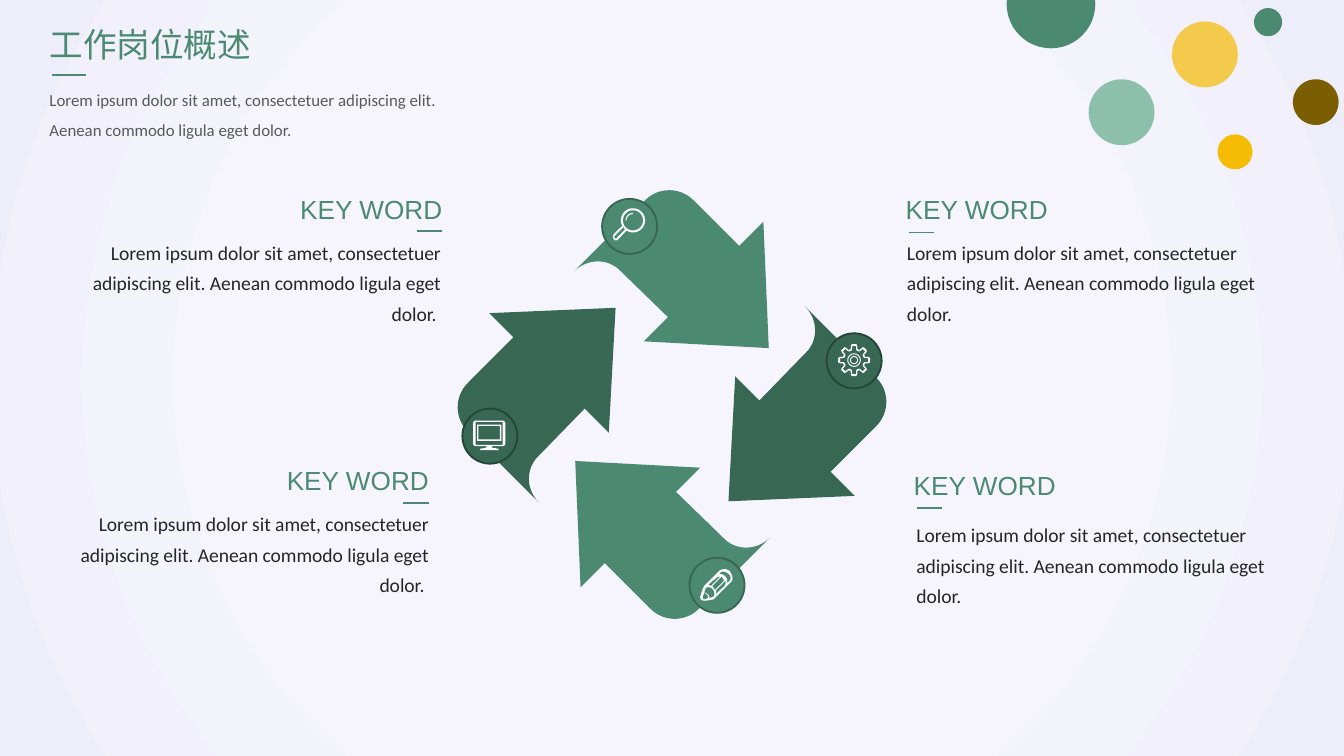
import math
from dataclasses import dataclass

from lxml import etree
from pptx import Presentation
from pptx import util as u
from pptx.dml.color import RGBColor
from pptx.enum import shapes, text
from pptx.oxml import ns


@dataclass(frozen=True)
class Theme:
    green: str = "4B8A70"
    dark: str = "386854"
    mint: str = "8CC0AB"
    gold: str = "F6BB03"
    brown: str = "7B5E01"
    green_edge: str = "376653"
    dark_edge: str = "254538"
    white: str = "FFFFFF"
    ink: str = "262626"
    grey: str = "595959"
    backdrop: tuple = ((0, "F7F8FD"), (53, "F6F5FD"), (100, "EEEEFA"))
    title: float = 18
    heading: float = 14
    body: float = 10.5
    intro: float = 9
    sans: str = "Calibri"
    heading_font: str = "Arial"
    cjk: str = "Noto Sans CJK SC"


T = Theme()
LOREM = "Lorem ipsum dolor sit amet, consectetuer adipiscing elit. Aenean commodo ligula eget dolor."
LEFT, RIGHT = text.PP_ALIGN.LEFT, text.PP_ALIGN.RIGHT


def add_xml(parent, tag, **attrs):
    return etree.SubElement(parent, ns.qn(tag), attrs)


def write(tf, content, size, font, color, align=LEFT, spacing=None):
    p = tf.paragraphs[0]
    p.alignment = align
    if spacing:
        p.line_spacing = spacing
    r = p.add_run()
    r.text = content
    r.font.size = u.Pt(size)
    r.font.color.rgb = RGBColor.from_string(color)
    r.font.name = font
    add_xml(r.font._element, "a:ea", typeface=font)


def trace(*steps, n=12):
    pts = [steps[0]]
    for step in steps[1:]:
        if len(step) == 2:
            pts.append(step)
            continue
        start, (a, b, c) = pts[-1], (step[:2], step[2:4], step[4:])
        for t in (i / n for i in range(1, n + 1)):
            v = 1 - t
            pts.append(tuple(v**3 * start[k] + 3 * v * v * t * a[k] + 3 * v * t * t * b[k] + t**3 * c[k]
                             for k in (0, 1)))
    return pts


def polar(cx, cy, r, deg):
    return cx + r * math.cos(math.radians(deg)), cy + r * math.sin(math.radians(deg))


def arc(cx, cy, r, start=0, end=360, n=36):
    return [polar(cx, cy, r, start + (end - start) * i / n) for i in range(n + 1)]


def rect(x1, y1, x2, y2):
    return [(x1, y1), (x2, y1), (x2, y2), (x1, y2)]


def gear(cx, cy, tooth):
    return [polar(cx, cy, r, 45 * i + deg) for i in range(8) for deg, r in tooth]


def turn(pts, quarters, cx=5, cy=3.01):
    for _ in range(quarters):
        pts = [(cx - (y - cy), cy + (x - cx)) for x, y in pts]
    return pts


class Deck:
    """Holds the theme and the current slide and draws each kind of element."""

    def __init__(self, theme):
        self.theme = theme
        self.prs = Presentation()
        self.prs.slide_width, self.prs.slide_height = u.Inches(10), u.Inches(10 * 9 / 16)
        self.s = self.prs.slides.add_slide(self.prs.slide_layouts[6])

    def background(self):
        fill = self.s.background.fill
        fill.gradient()
        grad = self.s._element.find(".//" + ns.qn("a:gradFill"))
        for child in list(grad):
            grad.remove(child)
        stops = add_xml(grad, "a:gsLst")
        for pos, color in self.theme.backdrop:
            add_xml(add_xml(stops, "a:gs", pos=str(pos * 1000)), "a:srgbClr", val=color)
        circle = add_xml(grad, "a:path", path="circle")
        add_xml(circle, "a:fillToRect", l="50000", t="50000", r="50000", b="50000")

    def paint(self, sp, fill, edge=None):
        sp.shadow.inherit = False
        sp.fill.solid()
        sp.fill.fore_color.rgb = RGBColor.from_string(fill)
        if edge:
            sp.line.color.rgb = RGBColor.from_string(edge)
            sp.line.width = u.Pt(1)
        else:
            sp.line.fill.background()

    def circle(self, x, y, d, fill, edge=None, alpha=None):
        sp = self.s.shapes.add_shape(shapes.MSO_SHAPE.OVAL, *map(u.Inches, (x, y, d, d)))
        self.paint(sp, fill, edge)
        if alpha:
            color = sp._element.spPr.find(ns.qn("a:solidFill"))[0]
            add_xml(color, "a:alpha", val=str(alpha * 1000))

    def outline(self, fill, *contours):
        scaled = [[(u.Inches(x), u.Inches(y)) for x, y in c] for c in contours]
        fb = self.s.shapes.build_freeform(*scaled[0][0])
        for i, pts in enumerate(scaled):
            if i:
                fb.move_to(*pts[0])
            fb.add_line_segments(pts[1:], close=True)
        self.paint(fb.convert_to_shape(), fill)

    def rule(self, x, y, length):
        line = self.s.shapes.add_connector(
            shapes.MSO_CONNECTOR.STRAIGHT, *map(u.Inches, (x, y, x + length, y)))
        line.line.color.rgb = RGBColor.from_string(self.theme.green)
        line.line.width = u.Pt(1)
        add_xml(line._element.spPr, "a:effectLst")

    def label(self, x, y, w, h, content, middle=False, **fmt):
        tf = self.s.shapes.add_textbox(*map(u.Inches, (x, y, w, h))).text_frame
        tf.word_wrap = True
        if middle:
            tf.vertical_anchor = text.MSO_ANCHOR.MIDDLE
        else:
            tf.auto_size = text.MSO_AUTO_SIZE.SHAPE_TO_FIT_TEXT
        write(tf, content, **fmt)

    def section(self, x, y, body_x, body_y, align):
        t, right = self.theme, align == RIGHT
        self.label(body_x, body_y, 2.81, 0.79, LOREM + (" " if right else ""),
                   size=t.body, font=t.sans, color=t.ink, align=align, spacing=1.3)
        self.label(x, y, 1.79, 0.34, "KEY WORD",
                   size=t.heading, font=t.heading_font, color=t.green, align=align)
        self.rule(x + (1.5 if right else 0.12), y + (0.33 if right else 0.34), 0.19)

    def icons(self):
        white = self.theme.white
        self.outline(white, rect(3.55, 3.16, 3.73, 3.28), rect(3.56, 3.17, 3.72, 3.27))
        self.outline(white, trace(
            (3.54, 3.13), (3.74, 3.13), (3.75, 3.13, 3.76, 3.14, 3.76, 3.15), (3.76, 3.3),
            (3.76, 3.31, 3.75, 3.32, 3.74, 3.32), (3.66, 3.32), (3.66, 3.33), (3.71, 3.34),
            (3.71, 3.35), (3.57, 3.35), (3.57, 3.34), (3.62, 3.33), (3.62, 3.32), (3.54, 3.32),
            (3.53, 3.32, 3.52, 3.31, 3.52, 3.3), (3.52, 3.15), (3.52, 3.14, 3.53, 3.13, 3.54, 3.13)),
            rect(3.54, 3.14, 3.74, 3.31))
        self.outline(
            white,
            trace((5.43, 4.25), (5.41, 4.23, 5.37, 4.23, 5.35, 4.25), (5.24, 4.36), (5.23, 4.38),
                  (5.21, 4.44), (5.21, 4.46, 5.22, 4.47, 5.25, 4.47), (5.31, 4.46), (5.32, 4.45),
                  (5.44, 4.33), (5.46, 4.31, 5.45, 4.28, 5.43, 4.25)),
            trace((5.43, 4.32), (5.41, 4.34), (5.42, 4.3, 5.39, 4.27, 5.35, 4.27), (5.36, 4.26),
                  (5.37, 4.25, 5.4, 4.25, 5.42, 4.27), (5.44, 4.28, 5.44, 4.31, 5.43, 4.32)),
            trace((5.28, 4.45), (5.28, 4.43, 5.26, 4.41, 5.24, 4.41), (5.25, 4.38),
                  (5.26, 4.36, 5.29, 4.37, 5.3, 4.38), (5.32, 4.4, 5.32, 4.43, 5.31, 4.44)),
            trace((5.24, 4.46), (5.23, 4.46, 5.23, 4.45, 5.23, 4.44), (5.24, 4.41),
                  (5.26, 4.42, 5.27, 4.43, 5.27, 4.45)),
            trace((5.29, 4.36), (5.27, 4.35), (5.33, 4.3), (5.34, 4.29, 5.35, 4.29, 5.36, 4.29)),
            [(5.32, 4.39), (5.3, 4.36), (5.37, 4.29), (5.39, 4.32)],
            trace((5.33, 4.42), (5.33, 4.39), (5.4, 4.32), (5.4, 4.34, 5.4, 4.35, 5.39, 4.36)))
        hub = (6.355, 2.68)
        self.outline(white,
                     gear(*hub, [(-17, 0.085), (-12, 0.11), (-8, 0.12), (8, 0.12), (12, 0.11), (17, 0.085)]),
                     gear(*hub, [(-16, 0.073), (-11, 0.08), (-8, 0.105), (8, 0.105), (11, 0.08), (16, 0.073)]))
        for r in (0.05, 0.03):
            self.outline(white, arc(*hub, r), arc(*hub, r - 0.007))
        lens = (4.71, 1.64)
        self.outline(
            white,
            arc(*lens, 0.09, 122, -207) + trace((4.57, 1.74), (4.55, 1.76, 4.57, 1.81, 4.6, 1.78)),
            arc(*lens, 0.075),
            trace((4.64, 1.69), (4.58, 1.75), (4.56, 1.76, 4.58, 1.79, 4.59, 1.77), (4.65, 1.71)))
        self.outline(white, arc(*lens, 0.055, 180, 270) + arc(*lens, 0.047, 270, 180))


def main():
    d = Deck(T)
    d.background()
    for x, y, size, fill, alpha in (
            (8.1, 0.59, 0.49, T.mint, None), (9.06, 1, 0.26, T.gold, None),
            (9.33, 0.06, 0.21, T.green, None), (8.72, 0.16, 0.49, T.gold, 70),
            (7.49, -0.3, 0.66, T.green, None), (9.62, 0.59, 0.34, T.brown, None)):
        d.circle(x, y, size, fill, alpha=alpha)
    d.label(0.27, 0.06, 2, 0.54, "工作岗位概述", middle=True, size=T.title, font=T.cjk, color=T.green)
    d.label(0.27, 0.54, 3.3, 0.56, LOREM, size=T.intro, font=T.sans, color=T.grey, spacing=1.5)
    d.rule(0.39, 0.56, 0.25)
    arrow = trace((4.79, 2.54), (4.97, 2.36), (4.62, 2.02), (4.53, 1.92, 4.37, 1.92, 4.27, 2.02),
                  (4.8, 1.49), (4.9, 1.39, 5.06, 1.39, 5.16, 1.49), (5.5, 1.83), (5.68, 1.65), (5.72, 2.59))
    for i in range(4):
        d.outline((T.green, T.dark)[i % 2], turn(arrow, i))
    d.section(6.64, 1.39, 6.65, 1.69, LEFT)
    d.section(6.7, 3.44, 6.72, 3.79, LEFT)
    d.section(1.6, 1.39, 0.57, 1.69, RIGHT)
    d.section(1.5, 3.41, 0.48, 3.71, RIGHT)
    for x, y, fill, edge in ((4.48, 1.48, T.green, T.green_edge), (6.15, 2.48, T.dark, T.dark_edge),
                             (3.44, 3.04, T.dark, T.dark_edge), (5.13, 4.15, T.green, T.green_edge)):
        d.circle(x, y, 0.41, fill, edge)
    d.icons()
    d.prs.save("out.pptx")


if __name__ == "__main__":
    main()
